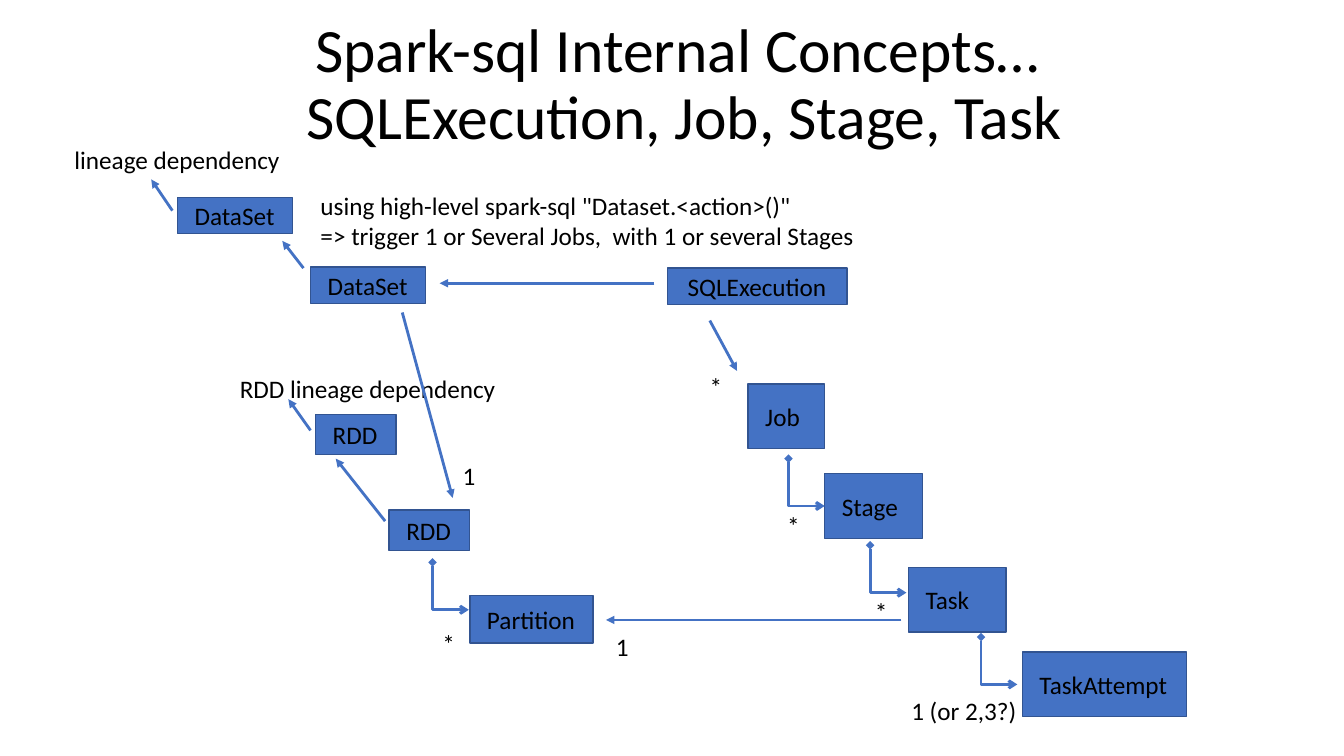
from dataclasses import dataclass

from lxml import etree
from pptx import Presentation
from pptx.dml.color import RGBColor
from pptx.enum.shapes import MSO_CONNECTOR, MSO_SHAPE
from pptx.enum.text import MSO_ANCHOR, MSO_AUTO_SIZE, PP_ALIGN
from pptx.oxml.ns import qn
from pptx.shapes.connector import Connector
from pptx.slide import Slide
from pptx.text.text import TextFrame
from pptx.util import Inches, Pt

RECT = MSO_SHAPE.RECTANGLE
STRAIGHT, ELBOW = MSO_CONNECTOR.STRAIGHT, MSO_CONNECTOR.ELBOW
MIDDLE = MSO_ANCHOR.MIDDLE
FIT = MSO_AUTO_SIZE.SHAPE_TO_FIT_TEXT
LEFT, CENTER = PP_ALIGN.LEFT, PP_ALIGN.CENTER


@dataclass(frozen=True)
class Theme:
    font: str = "Calibri"
    ink: RGBColor = RGBColor(0, 0, 0)
    fill: RGBColor = RGBColor(0x44, 0x72, 0xC4)
    edge: RGBColor = RGBColor(0x32, 0x54, 0x91)
    title: int = 44
    body: int = 18
    border: int = 1
    arrow: int = 2


@dataclass(frozen=True)
class Box:
    text: str
    x: float
    y: float
    w: float
    h: float
    inset: float = 0.17


@dataclass(frozen=True)
class Label:
    text: str
    x: float
    y: float
    w: float = 0.33
    h: float = 0.4


@dataclass(frozen=True)
class Arrow:
    x1: float
    y1: float
    x2: float
    y2: float


@dataclass(frozen=True)
class Owner:
    """Start of a diamond link that goes down, then right."""
    x: float
    y: float


THEME = Theme()
DROP, REACH = 0.47, 0.36

BOXES = [
    Box("DataSet", 1.76, 1.96, 1.14, 0.36),
    Box("DataSet", 3.08, 2.65, 1.14, 0.36),
    Box("SQLExecution", 6.62, 2.66, 1.78, 0.36, 0.2),
    Box("RDD", 3.13, 4.11, 0.8, 0.4),
    Box("RDD", 3.86, 5.06, 0.8, 0.4),
    Box("Partition", 4.66, 5.91, 1.22, 0.47),
    Box("Job", 7.42, 3.81, 0.76, 0.64),
    Box("Stage", 8.18, 4.7, 0.97, 0.64),
    Box("Task", 9.01, 5.63, 0.97, 0.64),
    Box("TaskAttempt", 10.14, 6.47, 1.63, 0.64),
]
LABELS = [
    Label("lineage dependency", 0.64, 1.38, 2.26),
    Label('using high-level spark-sql "Dataset.<action>()"\n'
          "=> trigger 1 or Several Jobs,  with 1 or several Stages",
          3.08, 1.84, 5.55, 0.71),
    Label("RDD lineage dependency", 2.28, 3.65, 2.77),
    Label("1", 4.49, 4.52),
    Label("*", 4.29, 6.18),
    Label("1", 6.01, 6.21),
    Label("*", 6.94, 3.63),
    Label("*", 7.71, 5.01),
    Label("*", 8.58, 5.87),
    Label("1 (or 2,3?)", 8.94, 6.85, 1.26),
]
ARROWS = [
    Arrow(1.71, 2.09, 1.5, 1.78),
    Arrow(3.01, 2.66, 2.8, 2.39),
    Arrow(6.49, 2.81, 4.36, 2.81),
    Arrow(7.04, 3.18, 7.31, 3.68),
    Arrow(3.99, 3.1, 4.49, 4.94),
    Arrow(3.08, 4.27, 2.86, 3.96),
    Arrow(3.82, 5.17, 3.33, 4.55),
    Arrow(8.94, 6.15, 6.01, 6.15),
]
OWNERS = [
    Owner(7.82, 4.55),
    Owner(8.63, 5.41),
    Owner(9.73, 6.32),
    Owner(4.29, 5.58),
]


def write(frame: TextFrame, text: str, size: int, align: PP_ALIGN = LEFT) -> None:
    frame.text = text
    for para in frame.paragraphs:
        para.alignment = align
        for run in para.runs:
            run.font.name = THEME.font
            run.font.size = Pt(size)
            run.font.color.rgb = THEME.ink


def add_title(slide: Slide, text: str) -> None:
    area = slide.shapes.add_textbox(
        Inches(0.6), Inches(0.13), Inches(12.38), Inches(1.45))
    frame = area.text_frame
    frame.word_wrap = True
    frame.vertical_anchor = MIDDLE
    write(frame, text, THEME.title, CENTER)
    frame.paragraphs[0].line_spacing = 0.9


def add_box(slide: Slide, box: Box) -> None:
    shape = slide.shapes.add_shape(
        RECT, Inches(box.x), Inches(box.y), Inches(box.w), Inches(box.h))
    shape.shadow.inherit = False
    shape.fill.solid()
    shape.fill.fore_color.rgb = THEME.fill
    shape.line.color.rgb = THEME.edge
    shape.line.width = Pt(THEME.border)
    frame = shape.text_frame
    frame.word_wrap = True
    frame.vertical_anchor = MIDDLE
    frame.margin_left = Inches(box.inset)
    frame.margin_right = frame.margin_top = frame.margin_bottom = 0
    write(frame, box.text, THEME.body)


def add_label(slide: Slide, label: Label) -> None:
    area = slide.shapes.add_textbox(
        Inches(label.x), Inches(label.y), Inches(label.w), Inches(label.h))
    frame = area.text_frame
    frame.word_wrap = False
    frame.auto_size = FIT
    write(frame, label.text, THEME.body)


def style(link: Connector, **ends: str) -> None:
    """Colour a link and set its headEnd and tailEnd, in that order."""
    link.line.color.rgb = THEME.fill
    link.line.width = Pt(THEME.arrow)
    props = link._element.spPr
    line = props.find(qn("a:ln"))
    for name, kind in ends.items():
        etree.SubElement(line, qn(f"a:{name}"), type=kind)
    etree.SubElement(props, qn("a:effectLst"))


def add_arrow(slide: Slide, arrow: Arrow) -> None:
    link = slide.shapes.add_connector(
        STRAIGHT, Inches(arrow.x1), Inches(arrow.y1),
        Inches(arrow.x2), Inches(arrow.y2))
    style(link, tailEnd="triangle")


def add_owner(slide: Slide, owner: Owner) -> None:
    """Draw a one-bend link as a flipped elbow turned by 270 degrees."""
    shift = (DROP - REACH) / 2
    x, y = owner.x - shift, owner.y + shift
    link = slide.shapes.add_connector(
        ELBOW, Inches(x), Inches(y), Inches(x + DROP), Inches(y + REACH))
    props = link._element.spPr
    props.find(qn("a:prstGeom")).set("prst", "bentConnector2")
    frame = props.find(qn("a:xfrm"))
    frame.set("rot", str(270 * 60000))
    frame.set("flipH", "1")
    style(link, headEnd="diamond", tailEnd="arrow")


def main() -> None:
    deck = Presentation()
    deck.slide_width, deck.slide_height = Inches(13.33), Inches(7.5)
    slide = deck.slides.add_slide(deck.slide_layouts[6])
    add_title(slide, "Spark-sql Internal Concepts… \vSQLExecution, Job, Stage, Task")
    for box in BOXES:
        add_box(slide, box)
    for label in LABELS:
        add_label(slide, label)
    for arrow in ARROWS:
        add_arrow(slide, arrow)
    for owner in OWNERS:
        add_owner(slide, owner)
    deck.save("out.pptx")


if __name__ == "__main__":
    main()
